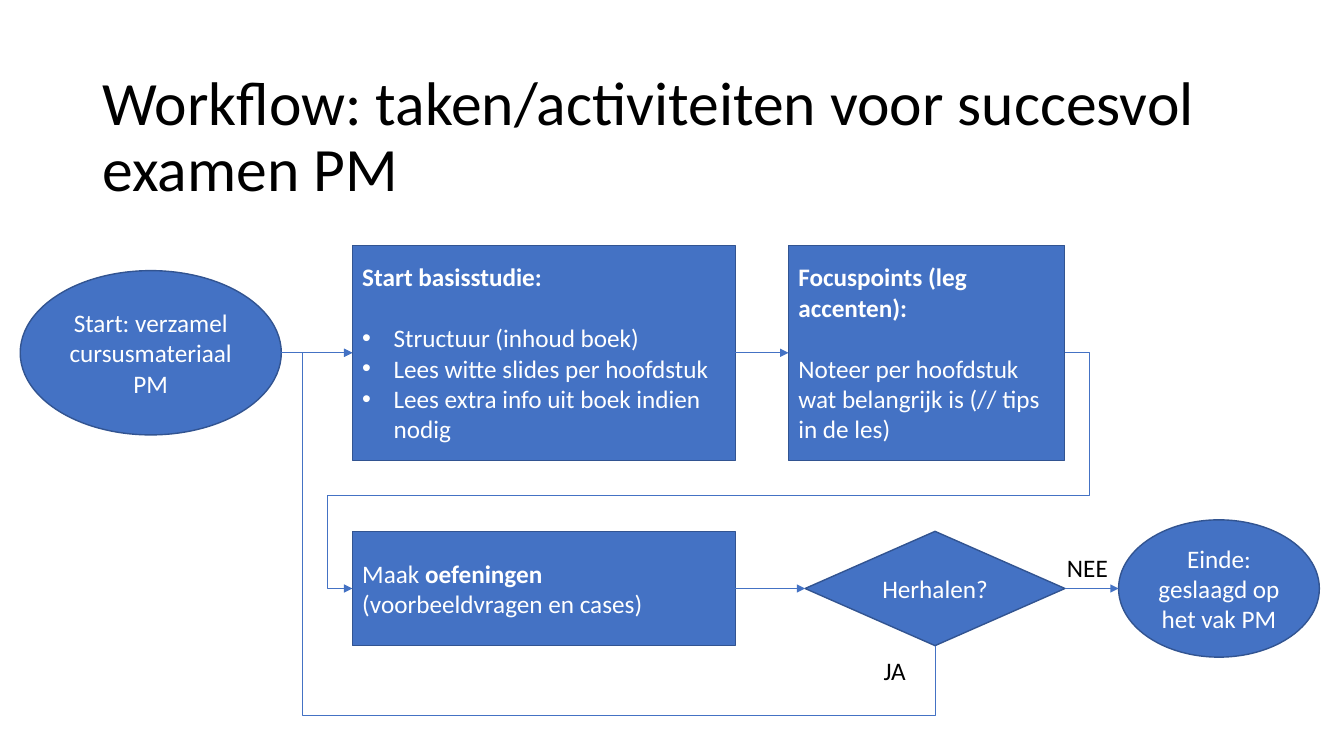
"""Build a workflow slide with two rows of steps and two return loops."""
from lxml import etree
from pptx import Presentation
from pptx.dml.color import RGBColor
from pptx.enum import shapes, text
from pptx.oxml import ns
from pptx.util import Cm, Pt

TITLE = "Workflow: taken/activiteiten voor succesvol examen PM"
BLUE, EDGE, WHITE, BLACK = "4472C4", "325491", "FFFFFF", "000000"
ROWS = (8.89, 14.83)
GAP = 22
KIND = shapes.MSO_SHAPE
LEFT, CENTER = text.PP_ALIGN.LEFT, text.PP_ALIGN.CENTER

# Each step: kind, row, left, width, height, alignment, paragraphs.
# Each paragraph: spans of (text, bold), space before, bulleted.
STEPS = {
    "start": (KIND.OVAL, 0, 0.51, 6.58, 4.14, CENTER,
              [([("Start: verzamel cursusmateriaal PM", False)], 0, False)]),
    "end": (KIND.OVAL, 1, 28.19, 5.06, 3.46, CENTER,
            [([("Einde: geslaagd op het vak PM", False)], 0, False)]),
    "study": (KIND.RECTANGLE, 0, 8.88, 9.65, 5.42, LEFT,
              [([("Start basisstudie:", True)], 0, False),
               ([("Structuur (inhoud boek)", False)], GAP, True),
               ([("Lees witte slides per hoofdstuk", False)], 0, True),
               ([("Lees extra info uit boek indien nodig", False)], 0, True)]),
    "focus": (KIND.RECTANGLE, 0, 19.87, 6.96, 5.42, LEFT,
              [([("Focuspoints (leg accenten):", True)], 0, False),
               ([("Noteer per hoofdstuk wat belangrijk is (// tips in de les)", False)],
                GAP, False)]),
    "practice": (KIND.RECTANGLE, 1, 8.88, 9.65, 2.88, LEFT,
                 [([("Maak ", False), ("oefeningen", True),
                    (" (voorbeeldvragen en cases)", False)], 0, False)]),
    "repeat": (KIND.FLOWCHART_DECISION, 1, 20.29, 6.55, 2.88, CENTER,
               [([("Herhalen?", False)], 0, False)]),
}
ARROWS = [("start", "study"), ("study", "focus"), ("practice", "repeat"), ("repeat", "end")]
# Each loop: from, side, to, side, preset, adjustments, quarter turn.
LOOPS = [("focus", 3, "practice", 1, "bentConnector5", (-3500, 60700, 103500), False),
         ("repeat", 2, "study", 1, "bentConnector4", (-23900, 108600), True)]
LABELS = [("NEE", 26.64, 13.79, 1.55, 1.02), ("JA", 22.02, 16.38, 1.07, 1.02)]


def color(value):
    """Turn a hex string into a colour."""
    return RGBColor.from_string(value)


def apply(target, **values):
    """Set each given attribute on the target."""
    for name, value in values.items():
        setattr(target, name, value)


def add_span(para, words, size, ink, bold=False):
    """Add one formatted run."""
    span = para.add_run()
    span.text = words
    apply(span.font, name="Calibri", size=Pt(size), bold=bold)
    span.font.color.rgb = color(ink)


def add_bullet(para):
    """Give a paragraph a hanging round bullet."""
    props = para._p.get_or_add_pPr()
    props.set("marL", str(Cm(0.79)))
    props.set("indent", str(-Cm(0.79)))
    etree.SubElement(props, ns.qn("a:buFont")).set("typeface", "Arial")
    etree.SubElement(props, ns.qn("a:buChar")).set("char", "•")


def add_step(page, kind, row, left, width, height, align, paragraphs):
    """Draw one step centred on its row."""
    box = page.shapes.add_shape(kind, Cm(left), Cm(ROWS[row] - height / 2),
                                Cm(width), Cm(height))
    box.shadow.inherit = False
    box.fill.solid()
    box.fill.fore_color.rgb = color(BLUE)
    box.line.color.rgb = color(EDGE)
    box.line.width = Pt(1)
    frame = box.text_frame
    apply(frame, word_wrap=True, vertical_anchor=text.MSO_ANCHOR.MIDDLE)
    for index, (spans, before, bulleted) in enumerate(paragraphs):
        para = frame.add_paragraph() if index else frame.paragraphs[0]
        para.alignment = align
        if before:
            para.space_before = Pt(before)
        if bulleted:
            add_bullet(para)
        for words, bold in spans:
            add_span(para, words, 18, WHITE, bold)
    return box


def add_arrow(page, kind, *ends):
    """Draw a thin arrow between two points."""
    arrow = page.shapes.add_connector(kind, *ends)
    arrow.line.color.rgb = color(BLUE)
    arrow.line.width = Pt(0.5)
    stroke = arrow.line._get_or_add_ln()
    etree.SubElement(stroke, ns.qn("a:tailEnd")).set("type", "triangle")
    etree.SubElement(arrow._element.spPr, ns.qn("a:effectLst"))
    return arrow


def add_loop(page, source, out, target, into, preset, adjustments, turned):
    """Draw a bent arrow joined to two steps."""
    arrow = add_arrow(page, shapes.MSO_CONNECTOR.ELBOW, 0, 0, 0, 0)
    arrow.begin_connect(source, out)
    arrow.end_connect(target, into)
    geometry = arrow._element.spPr.find(ns.qn("a:prstGeom"))
    geometry.set("prst", preset)
    guides = geometry.find(ns.qn("a:avLst"))
    if guides is None:
        guides = etree.SubElement(geometry, ns.qn("a:avLst"))
    for index, value in enumerate(adjustments, 1):
        guide = etree.SubElement(guides, ns.qn("a:gd"))
        guide.set("name", f"adj{index}")
        guide.set("fmla", f"val {value}")
    if turned:
        width, height = arrow.width, arrow.height
        shift = (width - height) // 2
        apply(arrow, left=arrow.left + shift, top=arrow.top - shift,
              width=height, height=width)
        frame = arrow._element.spPr.find(ns.qn("a:xfrm"))
        frame.set("rot", "5400000")
        frame.set("flipH", "1")
        frame.set("flipV", "0")


def main():
    """Compose and save the slide."""
    deck = Presentation()
    apply(deck, slide_width=Cm(33.87), slide_height=Cm(19.05))
    page = deck.slides.add_slide(deck.slide_layouts[5])
    title = page.shapes.title
    apply(title, left=Cm(2.33), top=Cm(1.65), width=Cm(29.21), height=Cm(3.68))
    apply(title.text_frame, word_wrap=True, auto_size=text.MSO_AUTO_SIZE.NONE,
          vertical_anchor=text.MSO_ANCHOR.MIDDLE)
    para = title.text_frame.paragraphs[0]
    apply(para, alignment=LEFT, line_spacing=0.9)
    add_span(para, TITLE, 44, BLACK)

    boxes = {name: add_step(page, *step) for name, step in STEPS.items()}
    for source, target in ARROWS:
        begin, end = boxes[source], boxes[target]
        middle = Cm(ROWS[STEPS[source][1]])
        arrow = add_arrow(page, shapes.MSO_CONNECTOR.STRAIGHT,
                          begin.left + begin.width, middle, end.left, middle)
        if STEPS[source][0] != KIND.OVAL:
            arrow.begin_connect(begin, 3)
        if STEPS[target][0] != KIND.OVAL:
            arrow.end_connect(end, 1)
    for source, out, target, *rest in LOOPS:
        add_loop(page, boxes[source], out, boxes[target], *rest)
    for words, *place in LABELS:
        box = page.shapes.add_textbox(*map(Cm, place))
        apply(box.text_frame, word_wrap=False,
              auto_size=text.MSO_AUTO_SIZE.SHAPE_TO_FIT_TEXT)
        add_span(box.text_frame.paragraphs[0], words, 18, BLACK)
    deck.save("out.pptx")


if __name__ == "__main__":
    main()
